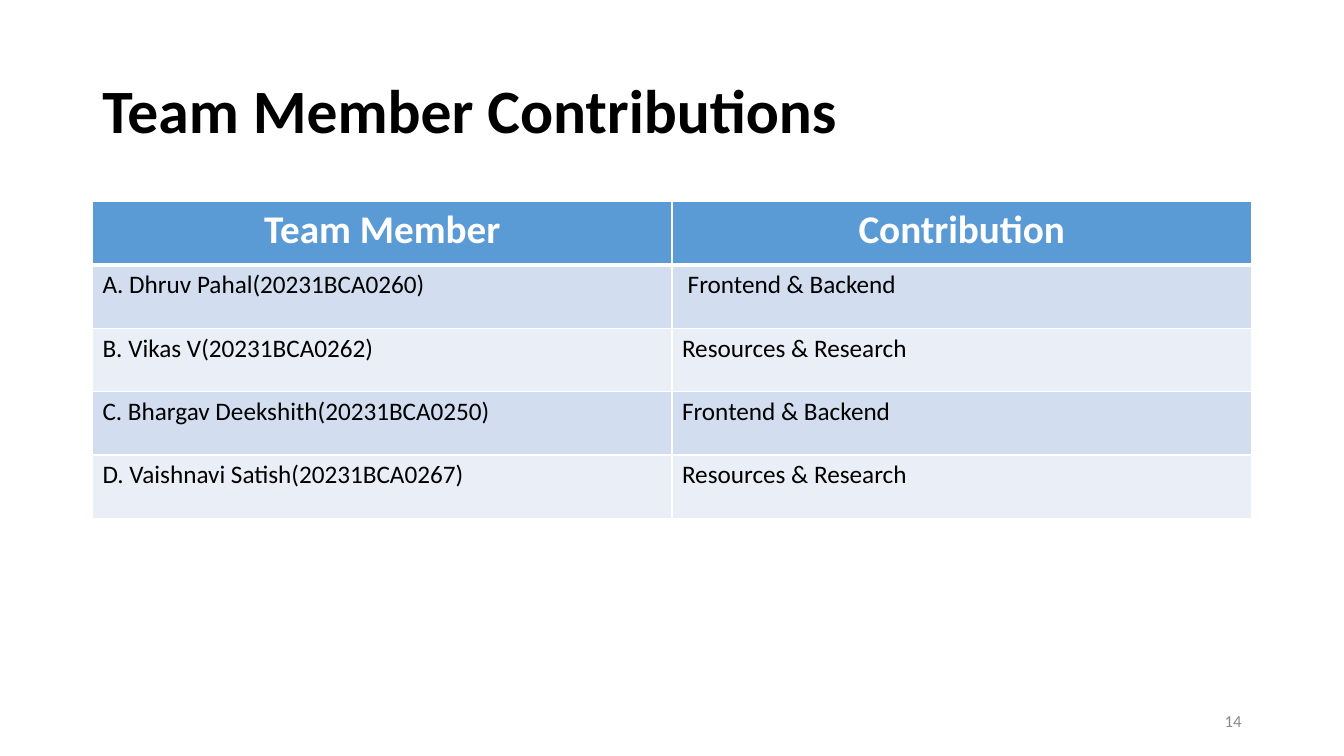
from dataclasses import dataclass

from lxml.etree import SubElement
from pptx import Presentation
from pptx.dml.color import RGBColor
from pptx.enum.text import MSO_ANCHOR, PP_ALIGN
from pptx.oxml.ns import qn
from pptx.util import Cm, Pt


@dataclass(frozen=True)
class Theme:
    font: str = "Calibri"
    black: str = "000000"
    white: str = "FFFFFF"
    grey: str = "898989"
    header_fill: str = "5B9BD5"
    band_fills: tuple = ("D2DEEF", "EAEFF7")
    title_size: int = 44
    header_size: int = 28
    body_size: int = 18
    number_size: int = 12
    thin_border: int = 1
    header_border: int = 3


@dataclass(frozen=True)
class Box:
    left: float
    top: float
    width: float
    height: float

    def lengths(self):
        return [Cm(side) for side in (self.left, self.top, self.width, self.height)]


THEME = Theme()
HEADINGS = ("Team Member", "Contribution")
CONTRIBUTIONS = (
    ("A. Dhruv Pahal(20231BCA0260)", " Frontend & Backend"),
    ("B. Vikas V(20231BCA0262)", "Resources & Research"),
    ("C. Bhargav Deekshith(20231BCA0250)", "Frontend & Backend"),
    ("D. Vaishnavi Satish(20231BCA0267)", "Resources & Research"),
)


def write(frame, text, size, color=THEME.black, bold=False,
          align=PP_ALIGN.LEFT, line_spacing=None):
    para = frame.paragraphs[0]
    para.alignment = align
    para.line_spacing = line_spacing
    span = para.add_run()
    span.text = text
    span.font.name = THEME.font
    span.font.size = Pt(size)
    span.font.bold = bold
    span.font.color.rgb = RGBColor.from_string(color)


def add_text(page, box, text, **text_format):
    """Add a wrapped text box, centred vertically in its box."""
    frame = page.shapes.add_textbox(*box.lengths()).text_frame
    frame.word_wrap = True
    frame.vertical_anchor = MSO_ANCHOR.MIDDLE
    write(frame, text, **text_format)


def set_borders(cell, **widths):
    """Draw white borders; widths in points are keyed L, R, T and B."""
    properties = cell._tc.get_or_add_tcPr()
    for side, width in widths.items():
        line = SubElement(properties, qn(f"a:ln{side}"), w=str(Pt(width)))
        fill = SubElement(line, qn("a:solidFill"))
        SubElement(fill, qn("a:srgbClr"), val=THEME.white)


def add_contribution_table(page, box):
    rows = (HEADINGS, *CONTRIBUTIONS)
    table = page.shapes.add_table(len(rows), len(HEADINGS), *box.lengths()).table
    for row_index, texts in enumerate(rows):
        is_header = row_index == 0
        if is_header:
            fill = THEME.header_fill
            text_format = dict(size=THEME.header_size, color=THEME.white,
                               bold=True, align=PP_ALIGN.CENTER)
        else:
            fill = THEME.band_fills[(row_index - 1) % 2]
            text_format = dict(size=THEME.body_size)
        top = THEME.header_border if row_index == 1 else THEME.thin_border
        bottom = THEME.header_border if is_header else THEME.thin_border
        for column_index, text in enumerate(texts):
            cell = table.cell(row_index, column_index)
            set_borders(cell, L=THEME.thin_border, R=THEME.thin_border,
                        T=top, B=bottom)
            cell.fill.solid()
            cell.fill.fore_color.rgb = RGBColor.from_string(fill)
            write(cell.text_frame, text, **text_format)


def build_contribution_slide(page, box):
    margin = 2.33
    content_width = box.width - 2 * margin
    left = box.left + margin
    add_text(page, Box(left, box.top + 1.01, content_width, 3.68),
             "Team Member Contributions", size=THEME.title_size,
             bold=True, line_spacing=0.9)
    add_contribution_table(page, Box(left, box.top + 5.08, content_width, 7.98))
    number_width = 7.62
    add_text(page, Box(left + content_width - number_width, box.top + 17.65,
                       number_width, 1.01),
             "14", size=THEME.number_size, color=THEME.grey, align=PP_ALIGN.RIGHT)


def main():
    deck = Presentation()
    slide_box = Box(0, 0, 33.87, 19.05)
    deck.slide_width = Cm(slide_box.width)
    deck.slide_height = Cm(slide_box.height)
    page = deck.slides.add_slide(deck.slide_layouts[6])
    build_contribution_slide(page, slide_box)
    deck.save("out.pptx")


if __name__ == "__main__":
    main()
